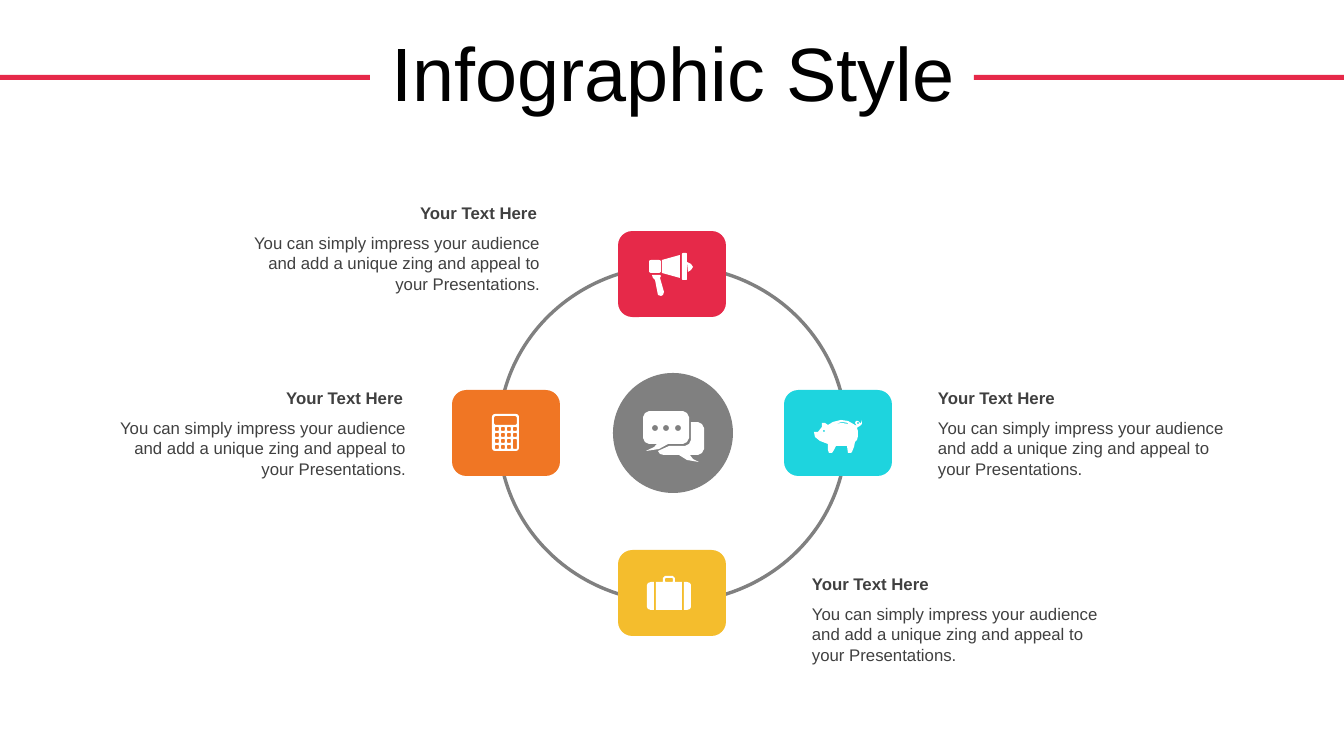
import math

import pptx
import pptx.util
from pptx.dml.color import RGBColor
from pptx.enum.shapes import MSO_SHAPE
from pptx.enum.text import MSO_ANCHOR, MSO_AUTO_SIZE, PP_ALIGN

PX = 914400 / 100.8
RED, ORANGE, CYAN, YELLOW = "E62949", "F07624", "1ED4DE", "F4BD2D"
GRAY, WHITE, BLACK, TEXT = "808080", "FFFFFF", "000000", "404040"
HEADING = "Your Text Here"
BODY = ("You can simply impress your audience and add a unique zing "
        "and appeal to your Presentations.")


def paint(shape, colour):
    shape.shadow.inherit = False
    shape.fill.solid()
    shape.fill.fore_color.rgb = RGBColor.from_string(colour)
    shape.line.fill.background()


def rounded(left, top, right, bottom, radius):
    """Outline points of a rectangle with rounded corners."""
    centres = [(right - radius, bottom - radius), (left + radius, bottom - radius),
               (left + radius, top + radius), (right - radius, top + radius)]
    return [(x + radius * math.cos(math.radians(90 * corner + step)),
             y + radius * math.sin(math.radians(90 * corner + step)))
            for corner, (x, y) in enumerate(centres) for step in (0, 30, 60, 90)]


deck = pptx.Presentation()
deck.slide_width, deck.slide_height = round(1344 * PX), round(756 * PX)
page = deck.slides.add_slide(deck.slide_layouts[5])

# Title
title = page.shapes.title
title.left, title.top, title.width, title.height = [
    round(value * PX) for value in (35, 31, 1276, 93)]
frame = title.text_frame
frame.text = "Infographic Style"
frame.word_wrap = True
frame.auto_size = MSO_AUTO_SIZE.NONE
frame.vertical_anchor = MSO_ANCHOR.MIDDLE
para = frame.paragraphs[0]
para.alignment = PP_ALIGN.CENTER
para.line_spacing = 0.9
para.font.name, para.font.size = "Arial", pptx.util.Pt(54)
para.font.color.rgb = RGBColor.from_string(BLACK)

# Title bars, ring, tiles and hub
for kind, left, top, width, height, colour in [
        (MSO_SHAPE.RECTANGLE, 0, 75, 370, 5, RED),
        (MSO_SHAPE.RECTANGLE, 974, 75, 370, 5, RED),
        (MSO_SHAPE.DONUT, 497, 264, 351, 340, GRAY),
        (MSO_SHAPE.ROUNDED_RECTANGLE, 618, 231, 108, 86, RED),
        (MSO_SHAPE.ROUNDED_RECTANGLE, 618, 550, 108, 86, YELLOW),
        (MSO_SHAPE.ROUNDED_RECTANGLE, 784, 390, 108, 86, CYAN),
        (MSO_SHAPE.ROUNDED_RECTANGLE, 452, 390, 108, 86, ORANGE),
        (MSO_SHAPE.OVAL, 613, 373, 120, 120, GRAY)]:
    shape = page.shapes.add_shape(
        kind, *[round(value * PX) for value in (left, top, width, height)])
    paint(shape, colour)
    if kind == MSO_SHAPE.DONUT:
        shape.adjustments[0] = 0.01

# Captions: body position and alignment, with the heading 30 px above
for left, top, align in [(928, 413, PP_ALIGN.LEFT), (100, 413, PP_ALIGN.RIGHT),
                         (802, 599, PP_ALIGN.LEFT), (234, 228, PP_ALIGN.RIGHT)]:
    heading_left = left - (align == PP_ALIGN.RIGHT)
    for text, bold, area in [(BODY, False, (left, top, 316, 72)),
                             (HEADING, True, (heading_left, top - 30, 314, 30))]:
        box = page.shapes.add_textbox(*[round(value * PX) for value in area])
        box.text_frame.word_wrap = True
        para = box.text_frame.paragraphs[0]
        para.text = text
        para.alignment = align
        para.font.name, para.font.size = "Arial", pptx.util.Pt(12)
        para.font.bold = bold
        para.font.color.rgb = RGBColor.from_string(TEXT)

# Icon outlines; an outline inside another one is a hole
calculator = [rounded(492, 414, 519, 451, 3), rounded(494, 416, 517, 425, 2)]
for row in range(4):
    for column in range(4):
        if (row, column) != (3, 3):
            x, y = 495 + 6 * column, 427 + 6 * row
            key_height = 10 if (row, column) == (2, 3) else 4
            calculator.append(rounded(x, y, x + 4, y + key_height, 1))

chat = [
    [(649, 411), (683, 411), (687, 413), (689, 417), (689, 438), (687, 442),
     (683, 444), (668, 444), (659, 449), (646, 451), (654, 447), (657, 444),
     (649, 444), (645, 442), (643, 438), (643, 417), (645, 413)],
    [(691, 422), (698, 422), (702, 424), (704, 428), (704, 449), (702, 453),
     (698, 455), (690, 455), (693, 459), (699, 462), (687, 460), (679, 455),
     (664, 455), (660, 454), (658, 451), (669, 446), (685, 446), (689, 444),
     (691, 440)]]
chat += [rounded(x - 3, 425, x + 3, 431, 3) for x in (655, 666, 678)]

megaphone = [
    [(660, 275), (661, 276), (660, 278), (664, 292), (663, 295), (661, 296),
     (658, 295), (655, 280), (653, 278), (652, 275)],
    [(687, 262), (691, 264), (693, 267), (691, 270), (688, 272)],
    rounded(649, 260, 661, 273, 2),
    [(680, 255), (680, 278), (662, 273), (662, 260)],
    rounded(682, 253, 687, 280, 1)]

pig = [
    [(841, 420), (848, 421), (855, 425), (857, 426), (855, 423), (856, 421),
     (858, 421), (860, 423), (861, 423), (862, 420), (862, 424), (860, 426),
     (858, 427), (857, 428), (858, 431), (858, 436), (857, 440), (855, 442),
     (854, 447), (852, 452), (851, 453), (848, 453), (847, 446), (836, 446),
     (834, 450), (832, 453), (829, 453), (828, 450), (828, 444), (820, 441),
     (815, 437), (814, 432), (818, 432), (822, 427), (822, 423), (825, 423),
     (828, 425), (833, 422)],
    rounded(823, 430, 825, 432, 1),
    rounded(857, 422, 859, 424, 1),
    [(835, 424), (842, 422), (848, 423), (848, 424), (842, 423)]]

case_side = [(684, 582), (687, 582), (690, 583), (691, 585), (691, 607),
             (690, 609), (687, 610), (684, 610)]
suitcase = [
    case_side,
    [(1338 - x, y) for x, y in case_side],
    [(656, 582), (663, 582), (663, 578), (665, 576), (673, 576), (675, 578),
     (675, 582), (682, 582), (682, 610), (656, 610)],
    rounded(665, 578, 673, 582, 1)]

# Icons
for icon in (calculator, chat, megaphone, pig, suitcase):
    outlines = [[(x * PX, y * PX) for x, y in outline] for outline in icon]
    builder = page.shapes.build_freeform(*outlines[0][0])
    builder.add_line_segments(outlines[0][1:], close=True)
    for outline in outlines[1:]:
        builder.move_to(*outline[0])
        builder.add_line_segments(outline[1:], close=True)
    paint(builder.convert_to_shape(), WHITE)

deck.save("out.pptx")
